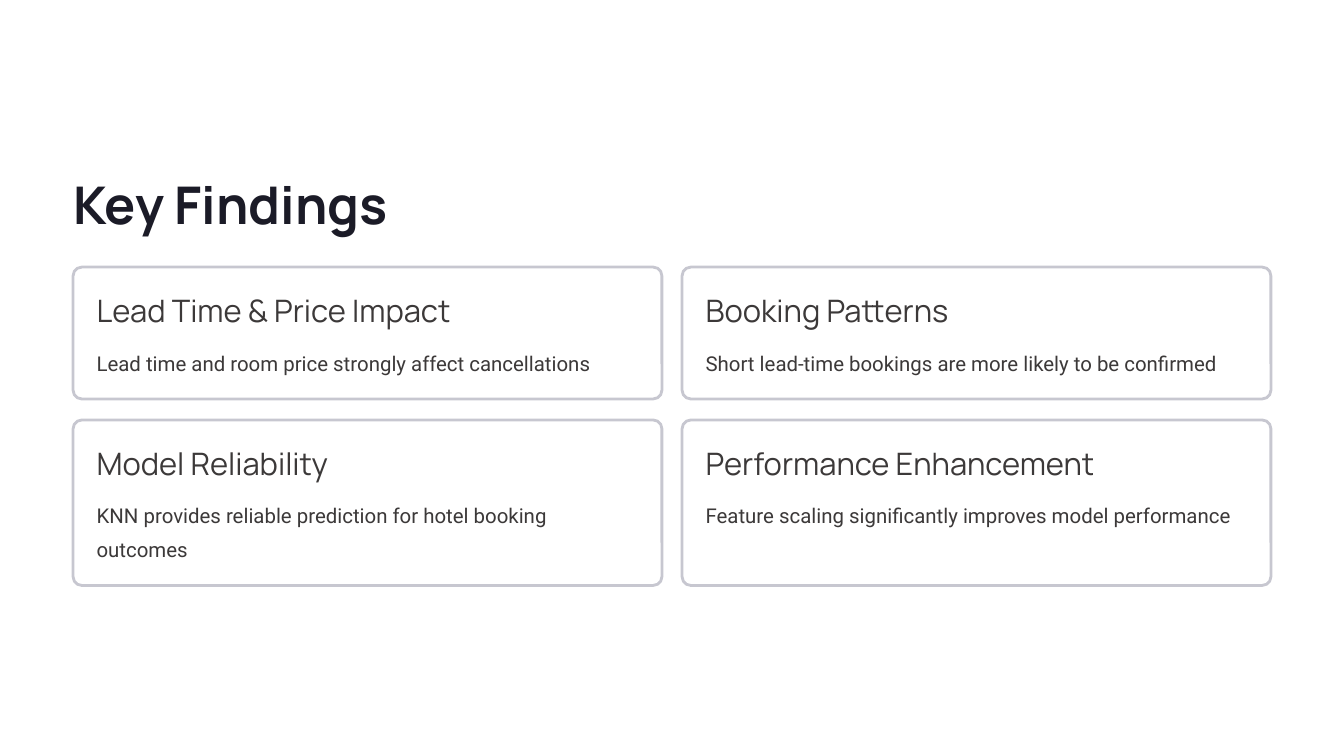
from lxml import etree
from pptx import Presentation
from pptx.dml.color import RGBColor
from pptx.enum.shapes import MSO_SHAPE as SHAPE
from pptx.oxml.ns import qn
from pptx.util import Inches, Pt

CARD_W, CARD_RADIUS, PAD = 7.01, 0.104, 0.28
COLUMNS = (0.87, 8.12)
ROWS = (  # top, height, body height, cards
    (3.18, 1.57, 0.4, (
        ("Lead Time & Price Impact",
         "Lead time and room price strongly affect cancellations"),
        ("Booking Patterns",
         "Short lead-time bookings are more likely to be confirmed"),
    )),
    (5, 1.97, 0.79, (
        ("Model Reliability",
         "KNN provides reliable prediction for hotel booking outcomes"),
        ("Performance Enhancement",
         "Feature scaling significantly improves model performance"),
    )),
)


def rgb(value):
    return RGBColor.from_string(value)


class FindingsSlide:
    HEADING_FONT, BODY_FONT = "Manrope", "Roboto"
    TITLE, TEXT, BORDER, PANEL = "1B1B27", "3C3939", "C7C7D0", "FFFFFF"

    def __init__(self, prs):
        self.s = prs.slides.add_slide(prs.slide_layouts[6])
        self.s.background.fill.solid()
        self.s.background.fill.fore_color.rgb = rgb("FFFFFF")

    def text(self, box, words, font, size, spacing, color, bold=False, wrap=True):
        tf = self.s.shapes.add_textbox(*map(Inches, box)).text_frame
        tf.word_wrap = wrap
        tf.margin_left = tf.margin_top = tf.margin_right = tf.margin_bottom = 0
        p = tf.paragraphs[0]
        p.line_spacing = Pt(spacing)
        r = p.add_run()
        r.text = words
        r.font.name, r.font.size, r.font.bold = font, Pt(size), bold
        r.font.color.rgb = rgb(color)

    def title(self, box, words):
        self.text(box, words, self.HEADING_FONT, 44.5, 55.5, self.TITLE,
                  bold=True, wrap=False)

    def panel(self, x, y, w, h):
        """Draw a rounded, outlined, slightly transparent panel."""
        sp = self.s.shapes.add_shape(SHAPE.ROUNDED_RECTANGLE,
                                     *map(Inches, (x, y, w, h)))
        sp.adjustments[0] = CARD_RADIUS / h
        sp.shadow.inherit = False
        sp.fill.solid()
        sp.fill.fore_color.rgb = rgb(self.PANEL)
        color = sp.fill._xPr.find(qn("a:solidFill"))[0]
        etree.SubElement(color, qn("a:alpha")).set("val", "95000")
        sp.line.color.rgb = rgb(self.BORDER)
        sp.line.width = Pt(2.4)

    def card(self, x, y, h, body_h, heading, body):
        self.panel(x, y, CARD_W, h)
        left, width = x + PAD, CARD_W - 2 * PAD
        self.text((left, y + PAD, width, 0.47), heading,
                  self.HEADING_FONT, 26.5, 33, self.TEXT, wrap=False)
        self.text((left, y + 0.89, width, body_h), body,
                  self.BODY_FONT, 17.5, 28.5, self.TEXT)


def main():
    prs = Presentation()
    prs.slide_width, prs.slide_height = Inches(16), Inches(9)
    slide = FindingsSlide(prs)
    slide.title((COLUMNS[0], 2.03, 6.2, 0.78), "Key Findings")
    for y, h, body_h, cards in ROWS:
        for x, (heading, body) in zip(COLUMNS, cards):
            slide.card(x, y, h, body_h, heading, body)
    prs.save("out.pptx")


if __name__ == "__main__":
    main()
